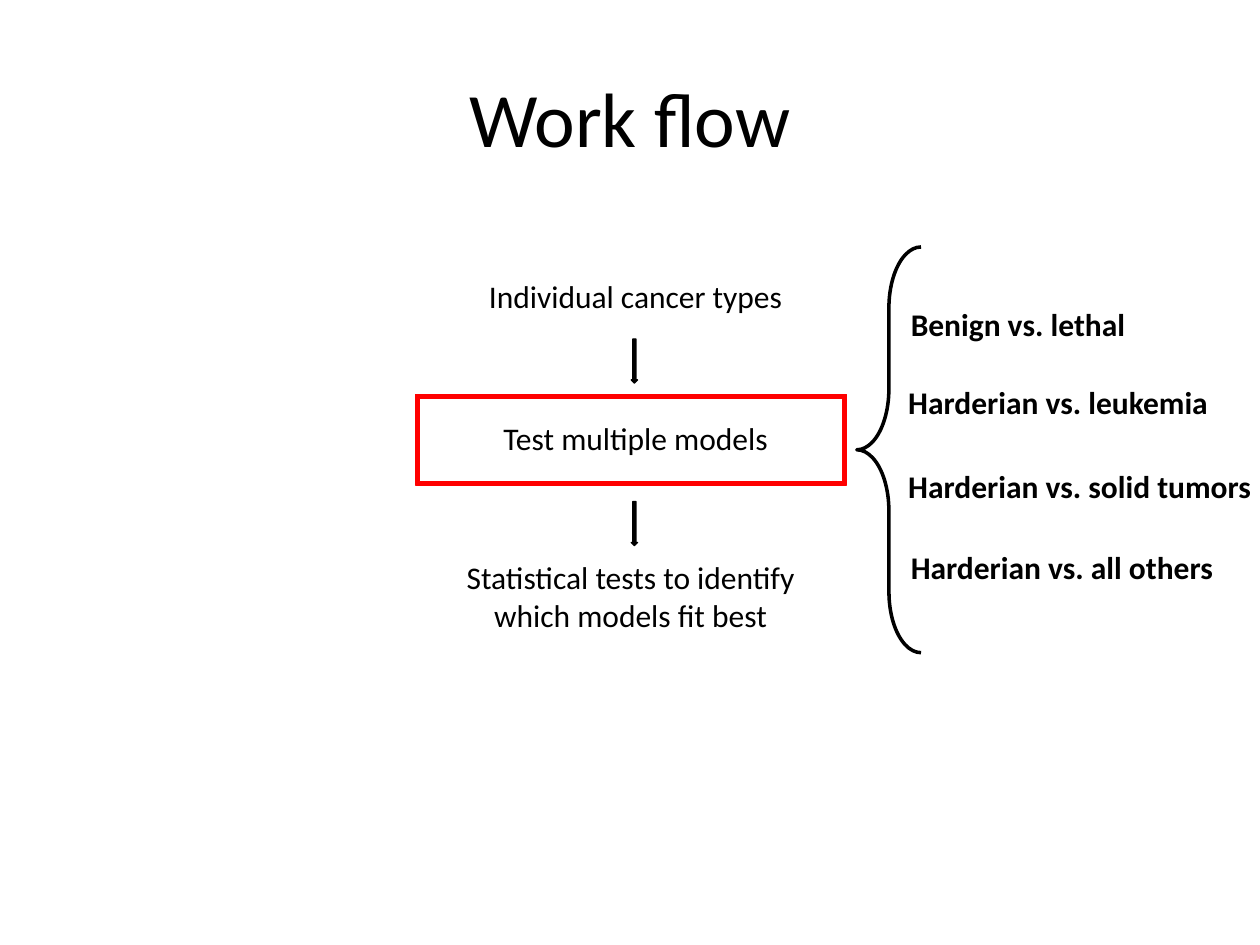
from pptx import Presentation
from pptx.dml.color import RGBColor
from pptx.enum import shapes, text
from pptx.util import Inches, Pt

COLORS = {"ink": "000000", "highlight": "FF0000"}
FONT = "Calibri"
TITLE = "Work flow"
STEPS = [
    ("Individual cancer types", 3.39, 2.15, 0.4),
    ("Test multiple models", 3.39, 3.28, 0.4),
    ("Statistical tests to identify which models fit best", 3.35, 4.38, 0.71),
]
COMPARISONS = [
    ("Benign vs. lethal", 7.13, 2.37, 0.4),
    ("Harderian vs. leukemia", 7.11, 2.99, 0.4),
    ("Harderian vs. solid tumors", 7.11, 3.66, 0.4),
    ("Harderian vs. all others", 7.13, 4.3, 0.4),
]
ARROW_TOPS = [2.69, 3.98]
LABEL_WIDTH = 3.31


def color(name):
    return RGBColor.from_string(COLORS[name])


def write(frame, words, size, align, bold=False):
    para = frame.paragraphs[0]
    para.alignment = align
    span = para.add_run()
    span.text = words
    span.font.name = FONT
    span.font.size = Pt(size)
    span.font.bold = bold
    span.font.color.rgb = color("ink")


def add_label(page, label, align, bold=False):
    words, left, top, height = label
    box = page.shapes.add_textbox(
        Inches(left), Inches(top), Inches(LABEL_WIDTH), Inches(height))
    box.text_frame.word_wrap = True
    box.text_frame.auto_size = text.MSO_AUTO_SIZE.SHAPE_TO_FIT_TEXT
    write(box.text_frame, words, 18, align, bold)


def add_figure(page, kind, place, line, width=0.75, fill=None, adjustments=()):
    figure = page.shapes.add_shape(kind, *map(Inches, place))
    figure.shadow.inherit = False
    for index, value in enumerate(adjustments):
        figure.adjustments[index] = value
    if fill:
        figure.fill.solid()
        figure.fill.fore_color.rgb = color(fill)
    else:
        figure.fill.background()
    figure.line.color.rgb = color(line)
    figure.line.width = Pt(width)


def main():
    deck = Presentation()
    deck.slide_width, deck.slide_height = Inches(10), Inches(7.5)
    page = deck.slides.add_slide(deck.slide_layouts[5])

    title = page.shapes.title
    title.left, title.top = Inches(0.5), Inches(0.3)
    title.width, title.height = Inches(9), Inches(1.25)
    title.text_frame.vertical_anchor = text.MSO_ANCHOR.MIDDLE
    write(title.text_frame, TITLE, 44, text.PP_ALIGN.CENTER)

    for step in STEPS:
        add_label(page, step, text.PP_ALIGN.CENTER)
    for comparison in COMPARISONS:
        add_label(page, comparison, text.PP_ALIGN.LEFT, bold=True)

    kinds = shapes.MSO_SHAPE
    for top in ARROW_TOPS:
        add_figure(page, kinds.DOWN_ARROW, (5.01, top, 0.05, 0.35), "ink", fill="ink")
    add_figure(page, kinds.FRAME, (3.3, 3.13, 3.42, 0.72), "highlight",
               fill="highlight", adjustments=[0.04])
    add_figure(page, kinds.LEFT_BRACE, (6.8, 1.96, 0.51, 3.22), "ink",
               width=2, adjustments=[0.95, 0.5])

    deck.save("out.pptx")


if __name__ == "__main__":
    main()
